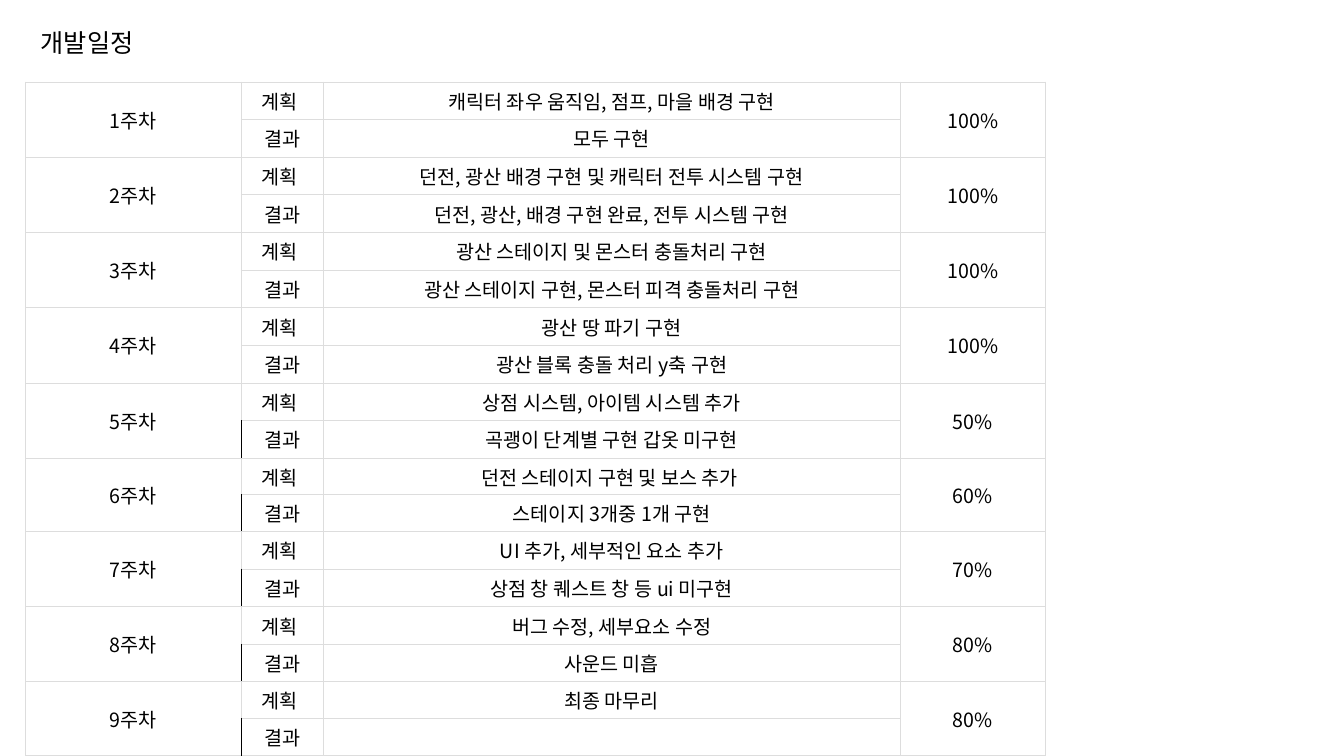
from dataclasses import dataclass

from lxml.etree import SubElement
from pptx import Presentation
from pptx.dml.color import RGBColor
from pptx.enum.text import MSO_ANCHOR, MSO_AUTO_SIZE, PP_ALIGN
from pptx.oxml.ns import qn
from pptx.util import Emu, Pt

PX = 6096

WEEKS = [
    ("캐릭터 좌우 움직임, 점프, 마을 배경 구현", "모두 구현", "100%"),
    ("던전, 광산 배경 구현 및 캐릭터 전투 시스템 구현",
     "던전, 광산, 배경 구현 완료, 전투 시스템 구현", "100%"),
    ("광산 스테이지 및 몬스터 충돌처리 구현",
     "광산 스테이지 구현, 몬스터 피격 충돌처리 구현", "100%"),
    ("광산 땅 파기 구현", "광산 블록 충돌 처리 y축 구현", "100%"),
    ("상점 시스템, 아이템 시스템 추가", "곡괭이 단계별 구현 갑옷 미구현", "50%"),
    ("던전 스테이지 구현 및 보스 추가 ", "스테이지 3개중 1개 구현", "60%"),
    ("UI 추가, 세부적인 요소 추가", "상점 창 퀘스트 창 등 ui 미구현", "70%"),
    ("버그 수정, 세부요소 수정", "사운드 미흡", "80%"),
    ("최종 마무리", "", "80%"),
]
COLUMNS = [321, 122, 859, 216]
ROW, SHORT_ROW = 56, 47
SHORT_WEEKS = (6, 9)
FIRST_DARK_WEEK = 5


@dataclass(frozen=True)
class Theme:
    font: str = "Noto Sans CJK KR"
    ink: str = "000000"
    paper: str = "FFFFFF"
    grid: str = "DDDDDD"
    title: int = 18
    body: int = 14
    rule: float = 0.75
    inset: int = 6


class Deck:
    """Draws styled elements on the current slide."""

    def __init__(self, prs, theme):
        self.theme = theme
        self.s = prs.slides.add_slide(prs.slide_layouts[6])

    def run(self, p, text, size):
        r = p.add_run()
        r.text = text
        r.font.size = Pt(size)
        r.font.color.rgb = RGBColor.from_string(self.theme.ink)
        r.font.name = self.theme.font
        SubElement(r.font._element, qn("a:ea"), typeface=self.theme.font)

    def title(self, text, x, y, w, h):
        sp = self.s.shapes.add_textbox(*(Emu(v * PX) for v in (x, y, w, h)))
        tf = sp.text_frame
        tf.word_wrap = False
        tf.auto_size = MSO_AUTO_SIZE.SHAPE_TO_FIT_TEXT
        self.run(tf.paragraphs[0], text, self.theme.title)

    def table(self, x, y, widths, heights):
        box = (x, y, sum(widths), sum(heights))
        frame = self.s.shapes.add_table(
            len(heights), len(widths), *(Emu(v * PX) for v in box))
        tbl = frame.table
        tbl.first_row = tbl.horz_banding = False
        for column, width in zip(tbl.columns, widths):
            column.width = Emu(width * PX)
        for row, height in zip(tbl.rows, heights):
            row.height = Emu(height * PX)
        return tbl

    def cell(self, cell, text, dark_side=None):
        cell.margin_left = cell.margin_right = Emu(self.theme.inset * PX)
        cell.margin_top = cell.margin_bottom = Emu(self.theme.inset * PX)
        cell.vertical_anchor = MSO_ANCHOR.MIDDLE
        for side in "LRTB":
            color = self.theme.ink if side == dark_side else self.theme.grid
            ln = SubElement(cell._tc.tcPr, qn(f"a:ln{side}"),
                            w=str(Pt(self.theme.rule)))
            SubElement(SubElement(ln, qn("a:solidFill")),
                       qn("a:srgbClr"), val=color)
        cell.fill.solid()
        cell.fill.fore_color.rgb = RGBColor.from_string(self.theme.paper)
        p = cell.text_frame.paragraphs[0]
        p.alignment = PP_ALIGN.CENTER
        if text:
            self.run(p, text, self.theme.body)
        else:
            SubElement(p._p, qn("a:endParaRPr"), sz=str(self.theme.body * 100))


def main():
    prs = Presentation()
    prs.slide_width, prs.slide_height = Emu(2000 * PX), Emu(1125 * PX)
    deck = Deck(prs, Theme())

    heights = [SHORT_ROW if week in SHORT_WEEKS else ROW
               for week in range(1, len(WEEKS) + 1) for _ in range(2)]
    tbl = deck.table(38, 122, COLUMNS, heights)
    for i, (plan, result, progress) in enumerate(WEEKS):
        week, top = i + 1, 2 * i
        for col in (0, 3):
            tbl.cell(top, col).merge(tbl.cell(top + 1, col))
        for col, text in enumerate((f"{week}주차", "계획 ", plan, progress)):
            deck.cell(tbl.cell(top, col), text)
        dark = {0: "R", 1: "L"} if week >= FIRST_DARK_WEEK else {}
        for col, text in enumerate(("", "결과", result, "")):
            deck.cell(tbl.cell(top + 1, col), text, dark.get(col))

    deck.title("개발일정", 46, 33, 182, 60)
    prs.save("out.pptx")


if __name__ == "__main__":
    main()
